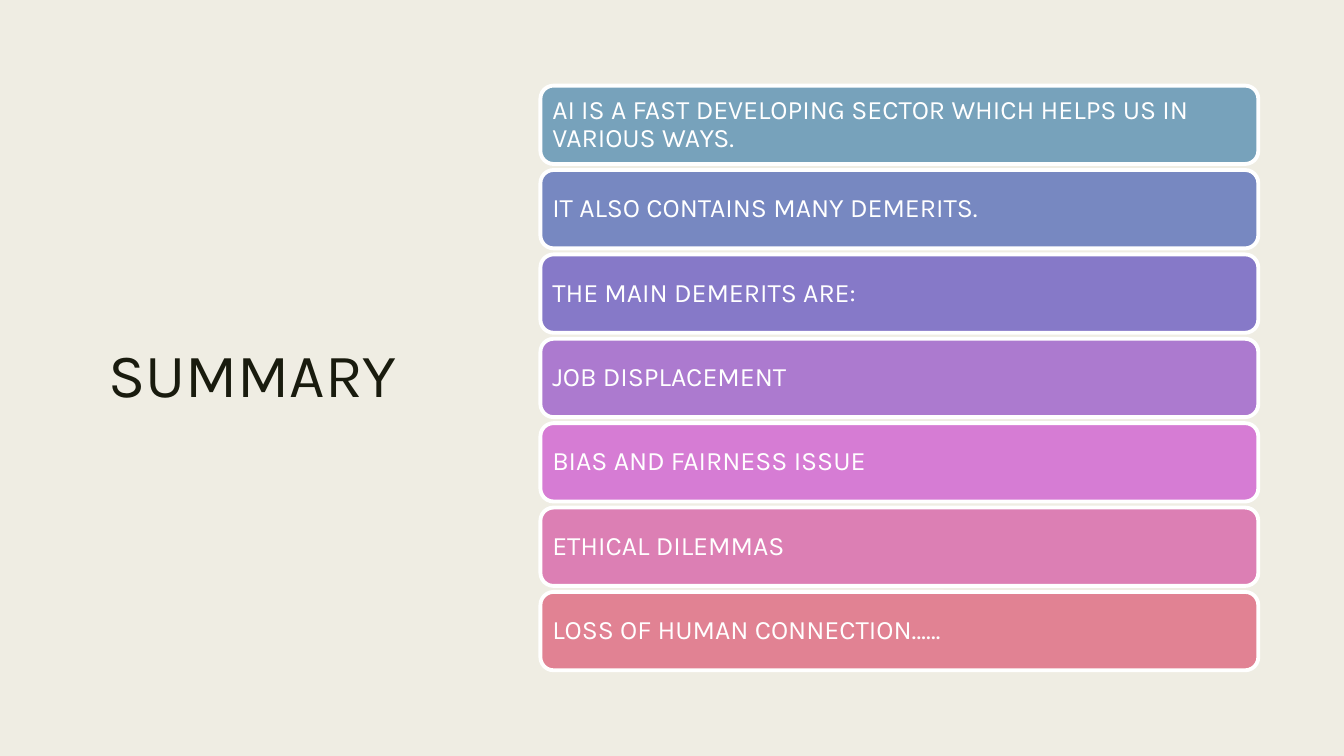
from pptx import Presentation, util as u
from pptx.dml.color import RGBColor
from pptx.enum import shapes, text

FONT = "Karla"
INK, PAPER, WHITE = "191B0E", "EFEDE3", "FFFFFF"
POINTS = [
    ("AI IS A FAST DEVELOPING SECTOR WHICH HELPS US IN VARIOUS WAYS.", "77A2BB"),
    ("IT ALSO CONTAINS MANY DEMERITS.", "7788C1"),
    ("THE MAIN DEMERITS ARE:", "8679C8"),
    ("JOB DISPLACEMENT", "AC7ACF"),
    ("BIAS AND FAIRNESS ISSUE", "D67CD4"),
    ("ETHICAL DILEMMAS", "DC7FB4"),
    ("LOSS OF HUMAN CONNECTION……", "E18293"),
]


def set_color(color_format, value):
    color_format.rgb = RGBColor.from_string(value)


def set_fill(fill, value):
    fill.solid()
    set_color(fill.fore_color, value)


def write(shape, content, *, size, color, align, spacing, inset_x, inset_y):
    frame = shape.text_frame
    frame.word_wrap = True
    frame.vertical_anchor = text.MSO_ANCHOR.MIDDLE
    frame.margin_left = frame.margin_right = u.Inches(inset_x)
    frame.margin_top = frame.margin_bottom = u.Inches(inset_y)
    paragraph = frame.paragraphs[0]
    paragraph.alignment = align
    paragraph.line_spacing = spacing
    run = paragraph.add_run()
    run.text = content
    run.font.name = FONT
    run.font.size = u.Pt(size)
    set_color(run.font.color, color)


def add_title(slide, box, content):
    shape = slide.shapes.add_textbox(*map(u.Inches, box))
    write(shape, content, size=44, color=INK, align=text.PP_ALIGN.CENTER,
          spacing=0.89, inset_x=0.1, inset_y=0.05)


def add_bars(slide, box, points, gap=0.06):
    """Stack one rounded bar per point, with equal gaps, to fill the box."""
    left, top, width, height = box
    bar_height = (height - gap * (len(points) - 1)) / len(points)
    for row, (content, color) in enumerate(points):
        bar_top = top + row * (bar_height + gap)
        bar = slide.shapes.add_shape(
            shapes.MSO_SHAPE.ROUNDED_RECTANGLE,
            *map(u.Inches, (left, bar_top, width, bar_height)))
        bar.shadow.inherit = False
        bar.adjustments[0] = 0.167
        set_fill(bar.fill, color)
        set_color(bar.line.color, WHITE)
        bar.line.width = u.Pt(2.75)
        write(bar, content, size=19, color=WHITE, align=text.PP_ALIGN.LEFT,
              spacing=0.9, inset_x=0.08, inset_y=0.08)


def main():
    presentation = Presentation()
    presentation.slide_width = u.Inches(13.33)
    presentation.slide_height = u.Inches(7.5)
    slide = presentation.slides.add_slide(presentation.slide_layouts[6])
    set_fill(slide.background.fill, PAPER)
    add_title(slide, (0.7, 0.7, 3.61, 6.1), "SUMMARY")
    add_bars(slide, (5.36, 0.85, 7.12, 5.8), POINTS)
    presentation.save("out.pptx")


if __name__ == "__main__":
    main()
